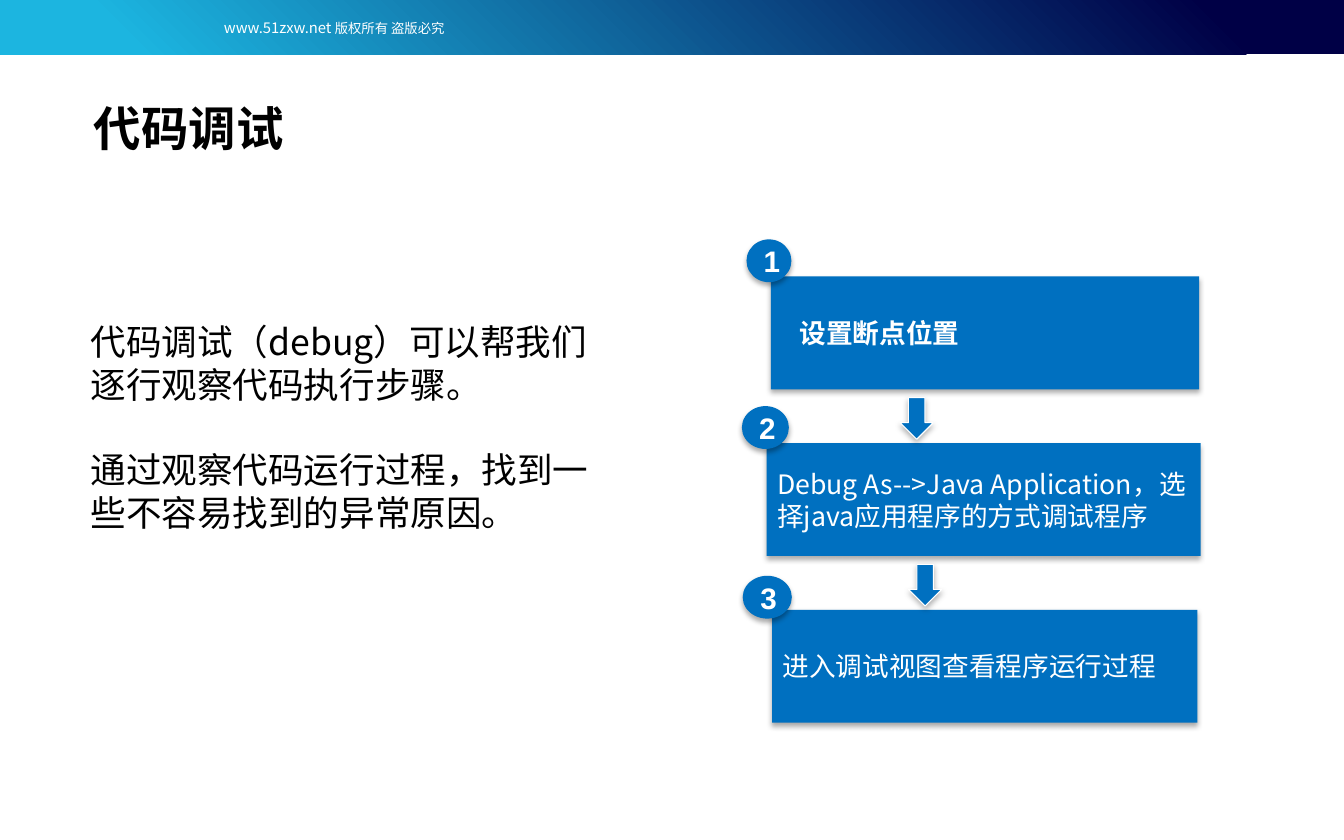
from dataclasses import dataclass

from lxml.etree import SubElement
from pptx import Presentation
from pptx.dml.color import RGBColor
from pptx.enum.shapes import MSO_SHAPE
from pptx.enum.text import MSO_ANCHOR, PP_ALIGN
from pptx.oxml.ns import qn
from pptx.util import Cm, Pt

COLORS = {"blue": "0070C0", "navy": "000046", "cyan": "1CB5E0",
          "white": "FFFFFF", "black": "000000"}
NOTO, ARIAL = "Noto Sans CJK SC", "Arial"

# Slide and flow chart measures in cm
WIDTH, HEIGHT = 32.01, 20
TOP, PITCH, BOX_H = 6.58, 3.97, 2.69
BADGE_H = 1.02
ARROW_DOWN, ARROW_W, ARROW_H = 2.89, 0.79, 0.99


@dataclass
class Step:
    text: str
    left: float
    width: float
    badge_left: float
    badge_top: float
    badge_width: float
    font: str = NOTO
    bold: bool = False
    inset: float = 0.25


STEPS = [
    Step("设置断点位置", 18.36, 10.2, 17.78, 5.7, 1.07, ARIAL, True, 0.68),
    Step("Debug As-->Java Application，选择java应用程序的方式调试程序",
         18.26, 10.34, 17.67, 9.67, 1.12),
    Step("进入调试视图查看程序运行过程", 18.39, 10.13, 17.69, 13.71, 1.17),
]
ARROWS = [21.44, 21.64]


def rgb(name: str) -> RGBColor:
    return RGBColor.from_string(COLORS[name])


def style(run, size: float, color: str, font: str = NOTO, bold: bool = False) -> None:
    run.font.size, run.font.bold, run.font.name = Pt(size), bold, font
    run.font.color.rgb = rgb(color)
    SubElement(run.font._element, qn("a:ea"), typeface=NOTO)


def shadow(shape, alpha: int, blur: float, dist: float) -> None:
    shape.shadow.inherit = False
    effects = shape._element.spPr.find(qn("a:effectLst"))
    outer = SubElement(effects, qn("a:outerShdw"), blurRad=str(Pt(blur)),
                       dist=str(Pt(dist)), dir="5400000", rotWithShape="0")
    tint = SubElement(outer, qn("a:srgbClr"), val=COLORS["black"])
    SubElement(tint, qn("a:alpha"), val=str(alpha * 1000))


def block(slide, kind: MSO_SHAPE, left: float, top: float, width: float, height: float):
    shape = slide.shapes.add_shape(kind, Cm(left), Cm(top), Cm(width), Cm(height))
    shape.fill.solid()
    shape.fill.fore_color.rgb = rgb("blue")
    shape.line.fill.background()
    return shape


def label(shape, text: str, size: float, font: str, bold: bool) -> None:
    shadow(shape, 32, 3.5, 2.2)
    frame = shape.text_frame
    frame.text = text
    frame.word_wrap = True
    frame.vertical_anchor = MSO_ANCHOR.MIDDLE
    frame.paragraphs[0].alignment = PP_ALIGN.LEFT
    style(frame.paragraphs[0].runs[0], size, "white", font, bold)


def draw_step(slide, index: int, step: Step) -> None:
    box = block(slide, MSO_SHAPE.RECTANGLE, step.left, TOP + index * PITCH,
                step.width, BOX_H)
    label(box, step.text, 18, step.font, step.bold)
    box.text_frame.margin_left = Cm(step.inset)
    badge = block(slide, MSO_SHAPE.OVAL, step.badge_left, step.badge_top,
                  step.badge_width, BADGE_H)
    label(badge, str(index + 1), 20, ARIAL, True)


def draw_arrow(slide, index: int, left: float) -> None:
    top = TOP + index * PITCH + ARROW_DOWN
    arrow = block(slide, MSO_SHAPE.DOWN_ARROW, left, top, ARROW_W, ARROW_H)
    arrow.line.color.rgb = rgb("white")
    arrow.line.width = Pt(0.75)
    shadow(arrow, 30, 4, 2)


def draw_banner(slide) -> None:
    banner = block(slide, MSO_SHAPE.RECTANGLE, 0, 0, WIDTH, 1.29)
    banner.shadow.inherit = False
    banner.fill.gradient()
    banner.fill.gradient_angle = 225
    stops = zip(banner.fill.gradient_stops, [("navy", 0.1), ("cyan", 0.9)])
    for stop, (color, place) in stops:
        stop.color.rgb = rgb(color)
        stop.position = place

    note = slide.shapes.add_textbox(Cm(1.42), Cm(0.2), Cm(13.08), Cm(0.81))
    note.text_frame.word_wrap = True
    line = note.text_frame.paragraphs[0]
    line.alignment = PP_ALIGN.CENTER
    line.line_spacing = 1.3
    for text, size in [("www.51zxw.net ", 10), ("版权所有 盗版必究", 9)]:
        run = line.add_run()
        run.text = text
        style(run, size, "white")


def draw_title(slide) -> None:
    title = slide.shapes.title
    title.left, title.top, title.width, title.height = Cm(1.98), Cm(2.24), Cm(5.05), Cm(1.63)
    frame = title.text_frame
    frame.text = "代码调试"
    frame.word_wrap = False
    frame.vertical_anchor = MSO_ANCHOR.TOP
    frame.paragraphs[0].alignment = PP_ALIGN.LEFT
    style(frame.paragraphs[0].runs[0], 32, "black", bold=True)


def draw_body(slide) -> None:
    body = slide.shapes.add_textbox(Cm(1.91), Cm(7.49), Cm(13.11), Cm(5.38))
    frame = body.text_frame
    frame.word_wrap = True
    frame.text = ("代码调试（debug）可以帮我们逐行观察代码执行步骤。\n"
                  "通过观察代码运行过程，找到一些不容易找到的异常原因。")
    for para in frame.paragraphs:
        style(para.runs[0], 24, "black")
    frame.paragraphs[1].space_before = Pt(29)


def main() -> None:
    deck = Presentation()
    deck.slide_width, deck.slide_height = Cm(WIDTH), Cm(HEIGHT)
    slide = deck.slides.add_slide(deck.slide_layouts[5])

    # Header, title and text
    draw_banner(slide)
    draw_title(slide)
    draw_body(slide)

    # Numbered steps with arrows between them
    for index, step in enumerate(STEPS):
        draw_step(slide, index, step)
    for index, left in enumerate(ARROWS):
        draw_arrow(slide, index, left)

    deck.save("out.pptx")


if __name__ == "__main__":
    main()
